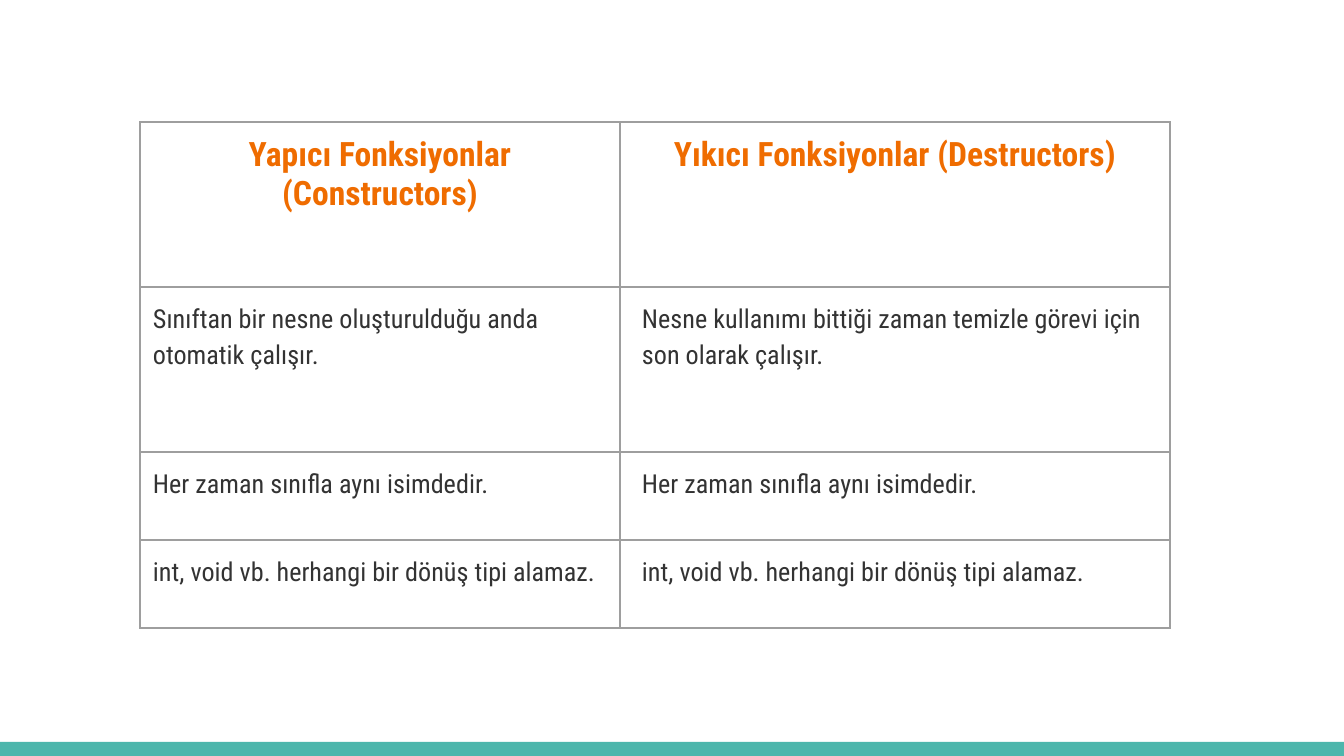
"""Build a slide comparing constructors and destructors in a table."""
from lxml.etree import SubElement
from pptx import Presentation
from pptx.dml.color import RGBColor
from pptx.enum.shapes import MSO_SHAPE
from pptx.enum.text import PP_ALIGN
from pptx.oxml.ns import qn
from pptx.util import Emu, Pt

THEME = {
    "font": "Roboto Condensed",
    "bar": RGBColor.from_string("4DB6AC"),
    "border": "9E9E9E",
    "border_width": Pt(0.75),
    "head": {"color": RGBColor.from_string("EF6C00"), "size": Pt(18), "bold": True},
    "body": {"color": RGBColor.from_string("333333"), "size": Pt(14), "bold": False},
}
ROWS = [
    ("Yapıcı Fonksiyonlar (Constructors)", "Yıkıcı Fonksiyonlar (Destructors)"),
    ("Sınıftan bir nesne oluşturulduğu anda otomatik çalışır.",
     "Nesne kullanımı bittiği zaman temizle görevi için son olarak çalışır."),
    ("Her zaman sınıfla aynı isimdedir.",) * 2,
    ("int, void vb. herhangi bir dönüş tipi alamaz.",) * 2,
]
COL_WIDTHS = [480, 550]
ROW_HEIGHTS = [165, 165, 88, 88]
INDENT = 9


def px(n):
    return Emu(round(n * 914400 / 134.4))


def add_borders(cell):
    tc_pr = cell._tc.get_or_add_tcPr()
    for side in ("lnL", "lnR", "lnT", "lnB"):
        ln = SubElement(tc_pr, qn(f"a:{side}"), w=str(THEME["border_width"]))
        SubElement(SubElement(ln, qn("a:solidFill")), qn("a:srgbClr"), val=THEME["border"])


prs = Presentation()
prs.slide_width, prs.slide_height = px(1344), px(756)
s = prs.slides.add_slide(prs.slide_layouts[6])

bar = s.shapes.add_shape(MSO_SHAPE.RECTANGLE, 0, px(742), px(1344), px(14))
bar.shadow.inherit = False
bar.fill.solid()
bar.fill.fore_color.rgb = THEME["bar"]
bar.line.fill.background()

table = s.shapes.add_table(len(ROWS), len(COL_WIDTHS), px(140), px(122),
                           px(sum(COL_WIDTHS)), px(sum(ROW_HEIGHTS))).table
table.first_row = table.horz_banding = False
for col, width in zip(table.columns, COL_WIDTHS):
    col.width = px(width)

for i, (row, height, texts) in enumerate(zip(table.rows, ROW_HEIGHTS, ROWS)):
    row.height = px(height)
    style = THEME["body" if i else "head"]
    for j, (cell, text) in enumerate(zip(row.cells, texts)):
        add_borders(cell)
        cell.fill.background()
        for side in ("left", "right", "top", "bottom"):
            setattr(cell, f"margin_{side}", px(13))
        p = cell.text_frame.paragraphs[0]
        if i:
            p.alignment = PP_ALIGN.LEFT
            p.line_spacing = 1.15
            p._p.get_or_add_pPr().set("marL", str(px(INDENT * j)))
        else:
            p.alignment = PP_ALIGN.CENTER
        r = p.add_run()
        r.text = text
        r.font.color.rgb = style["color"]
        for name, value in {"name": THEME["font"], "size": style["size"], "bold": style["bold"]}.items():
            setattr(r.font, name, value)

prs.save("out.pptx")
